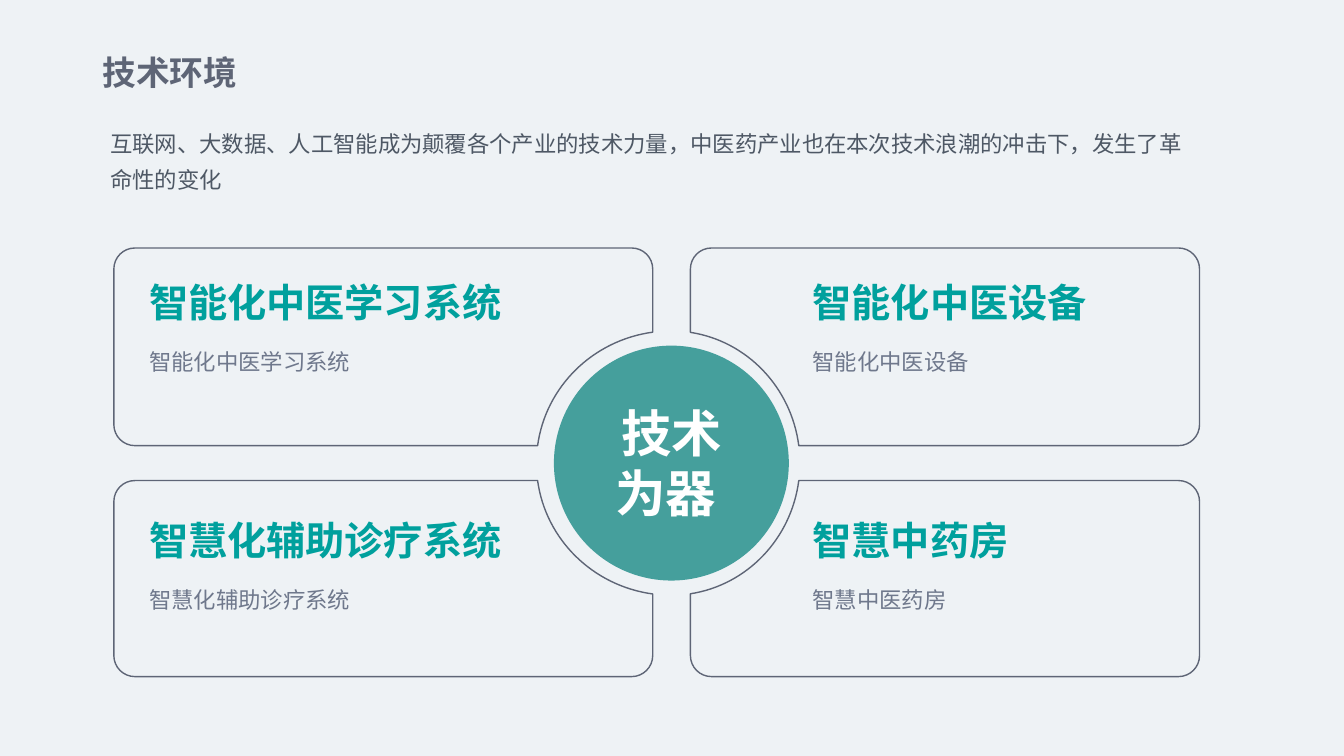
import math
import pptx
import pptx.util
import pptx.dml.color
import pptx.enum.shapes
import pptx.enum.text
import pptx.oxml
import pptx.oxml.ns

Cm, Pt = pptx.util.Cm, pptx.util.Pt
ALIGN = pptx.enum.text.PP_ALIGN
ANCHOR = pptx.enum.text.MSO_ANCHOR
qn = pptx.oxml.ns.qn
SPACE = pptx.oxml.ns.nsdecls("a")

# Content
TITLE = "技术环境"
INTRO = ("互联网、大数据、人工智能成为颠覆各个产业的技术力量，"
         "中医药产业也在本次技术浪潮的冲击下，发生了革命性的变化")
HUB = "技术\n为器 "
CARDS = [  # heading, caption, side, row
    ("智能化中医学习系统", "智能化中医学习系统", -1, -1),
    ("智能化中医设备", "智能化中医设备", 1, -1),
    ("智慧化辅助诊疗系统", "智慧化辅助诊疗系统", -1, 1),
    ("智慧中药房", "智慧中医药房", 1, 1),
]
FONT = "Noto Sans CJK SC"
COLORS = {"back": "EEF2F5", "hub": "459F9C", "line": "5E6576", "head": "00A09D",
          "note": "6F788C", "body": "4E5865", "white": "FFFFFF"}

# Layout in cm
HUB_X, HUB_Y, HUB_R = 16.92, 11.67, 2.96
CORNER, NOTCH_H = 0.53, 3.33
SIDES = {-1: (16.45, 2.87, 3.4, 3.76), 1: (17.4, 30.23, 3.24, 20.48)}  # inner, outer, notch, text
ROWS = {-1: (11.23, 6.25, 7.01), 1: (12.11, 17.05, 13.01)}  # inner, outer, text


def color(key):
    return pptx.dml.color.RGBColor.from_string(COLORS[key])


def write(shape, text, size, tone, bold=False, align=ALIGN.LEFT, space=None,
          inset=0, anchor=ANCHOR.TOP):
    frame = shape.text_frame
    frame.text = text
    frame.word_wrap = True
    frame.vertical_anchor = anchor
    frame.margin_left = frame.margin_right = Cm(inset)
    frame.margin_top = frame.margin_bottom = Cm(inset / 2)
    for para in frame.paragraphs:
        para.alignment = align
        if space:
            para.line_spacing = Pt(space)
        for run in para.runs:
            font = run.font
            font.name, font.size, font.bold = FONT, Pt(size), bold
            font.color.rgb = color(tone)
            east = pptx.oxml.parse_xml(f'<a:ea {SPACE} typeface="{FONT}"/>')
            run._r.rPr.find(qn("a:latin")).addnext(east)


def add_text(x, y, w, h, *args, **kw):
    box = slide.shapes.add_textbox(Cm(x), Cm(y), Cm(w), Cm(h))
    write(box, *args, **kw)


def arc(x, y, wide, high, start, end, side, row):
    """Start, two control points and end of an elliptic arc."""
    pull = 4 / 3 * math.tan((end - start) / 4)
    spots = [(start, 0), (start, pull), (end, -pull), (end, 0)]
    return [(Cm(x + side * wide * (math.cos(a) - k * math.sin(a))),
             Cm(y + row * high * (math.sin(a) + k * math.cos(a)))) for a, k in spots]


def bend(panel):
    """Turn every arc's three line steps into one curve."""
    lines = list(panel._element.iter(qn("a:lnTo")))
    for first in range(0, len(lines), 4):
        curve = pptx.oxml.parse_xml(f"<a:cubicBezTo {SPACE}/>")
        lines[first].addprevious(curve)
        for line in lines[first:first + 3]:
            curve.append(line[0])
            line.getparent().remove(line)


def add_panel(side, row):
    in_x, out_x, notch, _ = SIDES[side]
    in_y, out_y, _ = ROWS[row]
    left, right = in_x + side * CORNER, out_x - side * CORNER
    near, far = in_y + row * CORNER, out_y - row * CORNER
    turn = math.pi / 2
    points = arc(HUB_X, HUB_Y, notch, NOTCH_H,
                 math.acos(abs(in_x - HUB_X) / notch),
                 math.asin(abs(in_y - HUB_Y) / NOTCH_H), side, row)
    for x, y, start in [(right, near, -turn), (right, far, 0), (left, far, turn)]:
        points += arc(x, y, CORNER, CORNER, start, start + turn, side, row)
    path = slide.shapes.build_freeform(*points[0])
    path.add_line_segments(points[1:], close=True)
    panel = path.convert_to_shape()
    bend(panel)
    panel.shadow.inherit = False
    panel.fill.background()
    panel.line.color.rgb = color("line")
    panel.line.width = Pt(1)


# Slide and title
deck = pptx.Presentation()
deck.slide_width, deck.slide_height = Cm(33.87), Cm(19.05)
slide = deck.slides.add_slide(deck.slide_layouts[5])
slide.background.fill.solid()
slide.background.fill.fore_color.rgb = color("back")
title = slide.shapes.title
title.left, title.top, title.width, title.height = Cm(2.34), Cm(1.19), Cm(30.07), Cm(1.27)
write(title, TITLE, 24, "line", bold=True, inset=0.25, anchor=ANCHOR.MIDDLE)
add_text(2.53, 2.9, 27.71, 2.01, INTRO, 16, "body", space=26.2, inset=0.25)

# Hub
hub = slide.shapes.add_shape(pptx.enum.shapes.MSO_SHAPE.OVAL, Cm(HUB_X - HUB_R),
                             Cm(HUB_Y - HUB_R), Cm(2 * HUB_R), Cm(2 * HUB_R))
hub.shadow.inherit = False
hub.fill.solid()
hub.fill.fore_color.rgb = color("hub")
hub.line.fill.background()
add_text(15.31, 10.13, 3.23, 3.07, HUB, 36, "white", bold=True, align=ALIGN.CENTER)

# Cards
for head, note, side, row in CARDS:
    add_panel(side, row)
    x, y = SIDES[side][3], ROWS[row][2]
    add_text(x, y, 9.2, 1.19, head, 28, "head", bold=True)
    add_text(x, y + 1.73, 9.2, 0.66, note, 16, "note", align=ALIGN.JUSTIFY, space=20)

deck.save("out.pptx")
